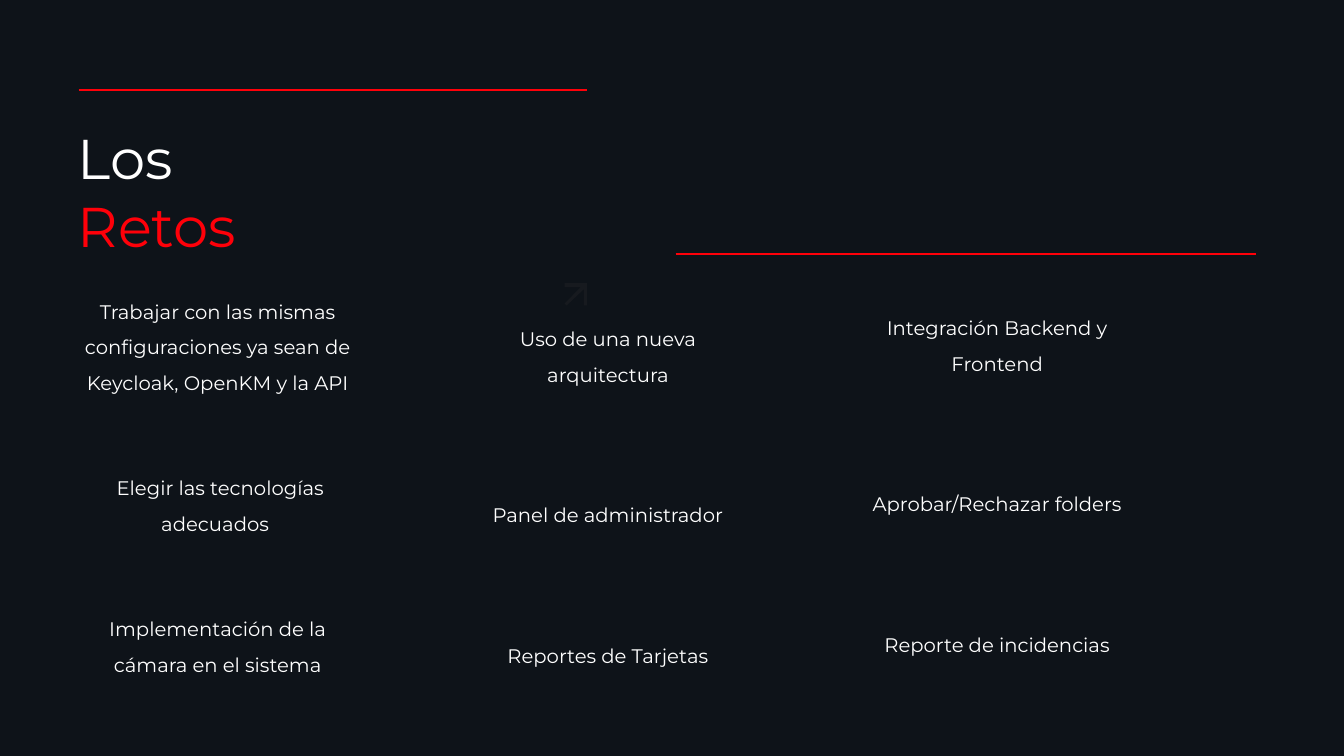
from lxml.etree import SubElement
from pptx import Presentation
from pptx.dml.color import RGBColor
from pptx.enum.shapes import MSO_CONNECTOR
from pptx.enum.text import MSO_ANCHOR, MSO_AUTO_SIZE, PP_ALIGN
from pptx.oxml.ns import qn
from pptx.util import Inches, Pt

NIGHT = RGBColor(0x0E, 0x13, 0x19)
RED = RGBColor(0xFF, 0x00, 0x09)
WHITE = RGBColor(0xFF, 0xFF, 0xFF)
ARROW_GRAY = RGBColor(0x17, 0x1A, 0x1F)

FRAME_FORMAT = {
    "word_wrap": True, "auto_size": MSO_AUTO_SIZE.SHAPE_TO_FIT_TEXT,
    "vertical_anchor": MSO_ANCHOR.TOP,
    "margin_left": Inches(0.1), "margin_right": Inches(0.1),
    "margin_top": Inches(0.05), "margin_bottom": Inches(0.05),
}
TITLE_FONT = {"name": "Montserrat", "size": Pt(40), "bold": False}
BODY_FONT = {"name": "Montserrat", "size": Pt(14), "bold": False}

# Each column: left, top, width, height, gap between items, items
COLUMNS = [
    (0.67, 2.81, 2.98, 3.99, 50.3, [
        "Trabajar con las mismas configuraciones ya sean de Keycloak, OpenKM y la API",
        " Elegir las tecnologías adecuados ",
        "Implementación de la cámara en el sistema"]),
    (4.54, 3.08, 2.98, 3.64, 75.4, [
        "Uso de una nueva arquitectura",
        "Panel de administrador",
        "Reportes de Tarjetas"]),
    (8.4, 2.97, 2.98, 3.64, 75.4, [
        "Integración Backend y Frontend",
        "Aprobar/Rechazar folders",
        "Reporte de incidencias"]),
]
RULES = [(0.78, 5.82, 0.89), (6.7, 12.46, 2.52)]
ARROW_POINTS = [
    (5.82, 2.81), (5.6, 2.81), (5.6, 2.85), (5.76, 2.85), (5.6, 3.01),
    (5.62, 3.03), (5.79, 2.87), (5.79, 3.03), (5.82, 3.03),
]


def apply_format(target, values):
    for name, value in values.items():
        setattr(target, name, value)


def place(box, left, top, width, height):
    apply_format(box, {"left": Inches(left), "top": Inches(top),
                       "width": Inches(width), "height": Inches(height)})
    apply_format(box.text_frame, FRAME_FORMAT)


def add_paragraph(frame, index, text, color, font, layout):
    para = frame.paragraphs[0] if index == 0 else frame.add_paragraph()
    apply_format(para, layout)
    span = para.add_run()
    span.text = text
    apply_format(span.font, font)
    span.font.color.rgb = color
    return para


def fill_title(title):
    place(title, 0.67, 1.18, 4.33, 1.45)
    layout = {"alignment": PP_ALIGN.LEFT, "space_before": Pt(0)}
    for index, (text, color) in enumerate([("Los", WHITE), ("Retos", RED)]):
        add_paragraph(title.text_frame, index, text, color, TITLE_FONT, layout)


def fill_column(box, left, top, width, height, gap, items):
    place(box, left, top, width, height)
    for index, text in enumerate(items):
        layout = {"alignment": PP_ALIGN.CENTER, "line_spacing": 1.5,
                  "space_before": Pt(gap if index else 0)}
        para = add_paragraph(box.text_frame, index, text, WHITE, BODY_FONT, layout)
        # Plain text: no bullet and no hanging indent
        properties = para._p.get_or_add_pPr()
        properties.set("marL", "0")
        properties.set("indent", "0")
        SubElement(properties, qn("a:buNone"))


def add_rule(page, start, end, height):
    rule = page.shapes.add_connector(
        MSO_CONNECTOR.STRAIGHT, Inches(start), Inches(height), Inches(end), Inches(height))
    rule.line.color.rgb = RED
    rule.line.width = Pt(1.5)
    SubElement(rule._element.spPr, qn("a:effectLst"))


def add_arrow(page):
    points = [(Inches(x), Inches(y)) for x, y in ARROW_POINTS]
    builder = page.shapes.build_freeform(*points[0])
    builder.add_line_segments(points[1:], close=True)
    arrow = builder.convert_to_shape()
    arrow.shadow.inherit = False
    arrow.fill.solid()
    arrow.fill.fore_color.rgb = ARROW_GRAY
    arrow.line.fill.background()


def main():
    deck = Presentation()
    deck.slide_width, deck.slide_height = Inches(13.33), Inches(7.5)
    page = deck.slides.add_slide(deck.slide_layouts.get_by_name("Comparison"))
    page.background.fill.solid()
    page.background.fill.fore_color.rgb = NIGHT

    # Title and the three columns of challenges
    title, *bodies = list(page.placeholders)
    fill_title(title)
    for box, column in zip(bodies, COLUMNS):
        fill_column(box, *column)
    for unused in bodies[len(COLUMNS):]:
        unused._element.getparent().remove(unused._element)

    # Red rules and the dim arrow
    for rule in RULES:
        add_rule(page, *rule)
    add_arrow(page)

    deck.save("out.pptx")


if __name__ == "__main__":
    main()
